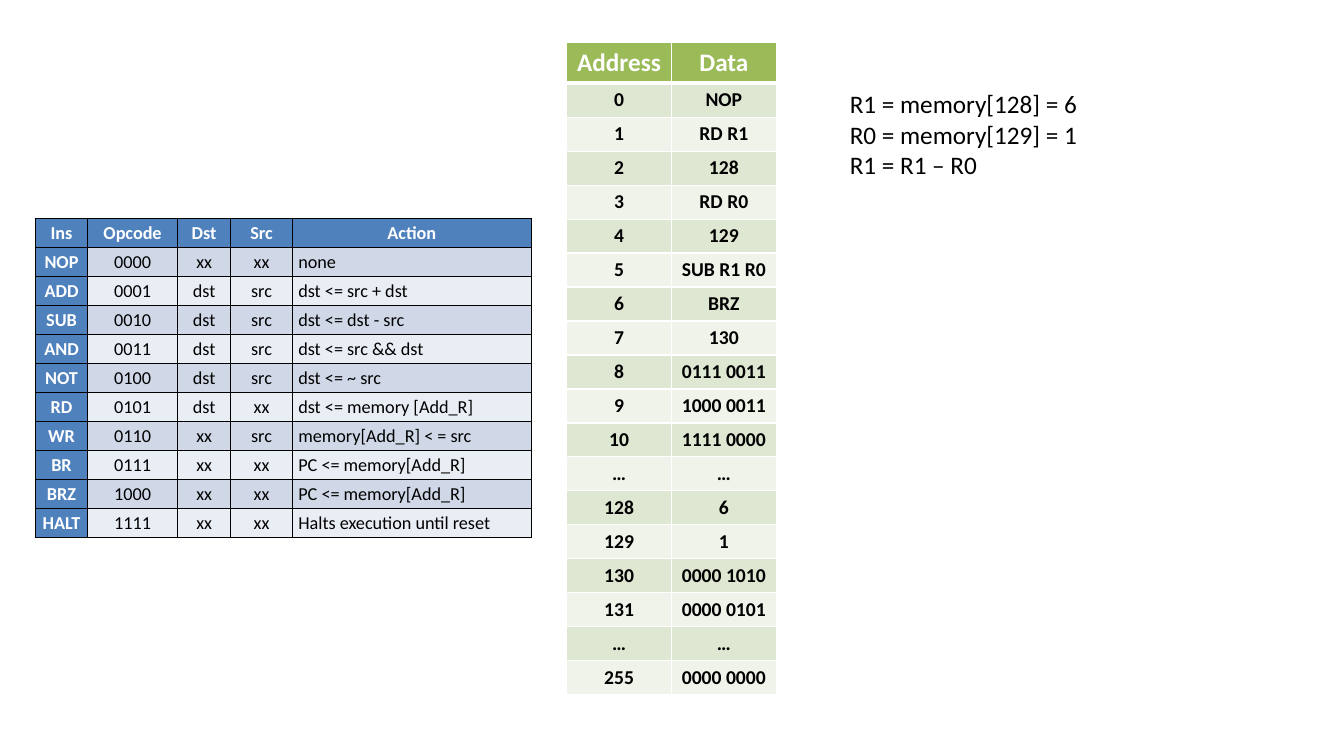
"""Build a slide with an instruction set, a memory dump and a short trace."""
from lxml import etree
from pptx import Presentation
from pptx.dml.color import RGBColor
from pptx.enum.text import MSO_ANCHOR, MSO_AUTO_SIZE, PP_ALIGN
from pptx.oxml.ns import qn
from pptx.util import Inches, Pt

CENTER, LEFT = PP_ALIGN.CENTER, PP_ALIGN.LEFT
TOP, MIDDLE = MSO_ANCHOR.TOP, MSO_ANCHOR.MIDDLE
FIT_SHAPE = MSO_AUTO_SIZE.SHAPE_TO_FIT_TEXT
FONT = "Calibri"
BLACK, WHITE = "000000", "FFFFFF"
BLUE, BLUE_BANDS = "4F81BD", ("D0D8E8", "E9EDF4")
GREEN, GREEN_BANDS = "9BBB59", ("DEE7D1", "EFF3EA")

INSTRUCTIONS = [
    ("Ins", "Opcode", "Dst", "Src", "Action"),
    ("NOP", "0000", "xx", "xx", "none"),
    ("ADD", "0001", "dst", "src", "dst <= src + dst"),
    ("SUB", "0010", "dst", "src", "dst <= dst - src"),
    ("AND", "0011", "dst", "src", "dst <= src && dst"),
    ("NOT", "0100", "dst", "src", "dst <= ~ src"),
    ("RD", "0101", "dst", "xx", "dst <= memory [Add_R]"),
    ("WR", "0110", "xx", "src", "memory[Add_R] < = src"),
    ("BR", "0111", "xx", "xx", "PC <= memory[Add_R]"),
    ("BRZ", "1000", "xx", "xx", "PC <= memory[Add_R]"),
    ("HALT", "1111", "xx", "xx", "Halts execution until reset"),
]
MEMORY = [
    ("Address", "Data"),
    ("0", "NOP"),
    ("1", "RD R1"),
    ("2", "128"),
    ("3", "RD R0"),
    ("4", "129"),
    ("5", "SUB R1 R0"),
    ("6", "BRZ"),
    ("7", "130"),
    ("8", "0111 0011"),
    ("9", "1000 0011"),
    ("10", "1111 0000"),
    ("…", "…"),
    ("128", "6"),
    ("129", "1"),
    ("130", "0000 1010"),
    ("131", "0000 0101"),
    ("…", "…"),
    ("255", "0000 0000"),
]
TRACE = ["R1 = memory[128] = 6", "R0 = memory[129] = 1", "R1 = R1 – R0"]


def rgb(value):
    """Turn a hex string into a colour."""
    return RGBColor.from_string(value)


def add_run(paragraph, text, size, color, bold=False, align=LEFT):
    """Add one formatted run to a paragraph."""
    paragraph.alignment = align
    run = paragraph.add_run()
    run.text = text
    run.font.name = FONT
    run.font.size = Pt(size)
    run.font.bold = bold
    run.font.color.rgb = rgb(color)


def set_borders(cell, color, left=1, right=1, top=1, bottom=1):
    """Draw the four cell borders with widths in points."""
    properties = cell._tc.get_or_add_tcPr()
    widths = {"lnL": left, "lnR": right, "lnT": top, "lnB": bottom}
    for side, width in widths.items():
        line = etree.SubElement(properties, qn(f"a:{side}"), w=str(Pt(width)))
        fill = etree.SubElement(line, qn("a:solidFill"))
        etree.SubElement(fill, qn("a:srgbClr"), val=color)


def fill_cell(cell, color):
    """Give a cell a plain fill."""
    cell.fill.solid()
    cell.fill.fore_color.rgb = rgb(color)


def add_grid(slide, rows, left, top, column_widths, row_heights):
    """Add an unbanded table and return it."""
    frame = slide.shapes.add_table(
        len(rows), len(column_widths), Inches(left), Inches(top),
        Inches(sum(column_widths)), Inches(sum(row_heights)))
    table = frame.table
    table.first_row = table.horz_banding = False
    for column, width in zip(table.columns, column_widths):
        column.width = Inches(width)
    for row, height in zip(table.rows, row_heights):
        row.height = Inches(height)
    return table


def add_instruction_table(slide, left, top, width, height):
    """Add the blue instruction set table."""
    columns = [0.52, 0.89, 0.53, 0.61]
    columns.append(width - sum(columns))
    heights = [height / len(INSTRUCTIONS)] * len(INSTRUCTIONS)
    table = add_grid(slide, INSTRUCTIONS, left, top, columns, heights)
    for row, texts in enumerate(INSTRUCTIONS):
        for column, text in enumerate(texts):
            cell = table.cell(row, column)
            heading = row == 0 or column == 0
            action = row > 0 and column == len(columns) - 1
            cell.vertical_anchor = MIDDLE
            cell.margin_left = cell.margin_right = Inches(0.06)
            cell.margin_top = cell.margin_bottom = 0
            set_borders(cell, BLACK)
            fill_cell(cell, BLUE if heading else BLUE_BANDS[(row - 1) % 2])
            add_run(cell.text_frame.paragraphs[0], text, 13,
                    WHITE if heading else BLACK, heading,
                    LEFT if action else CENTER)


def add_memory_table(slide, left, top, width, height):
    """Add the green memory contents table."""
    header_height = 0.4
    body_count = len(MEMORY) - 1
    heights = [header_height] + [(height - header_height) / body_count] * body_count
    table = add_grid(slide, MEMORY, left, top, [width / 2] * 2, heights)
    for row, texts in enumerate(MEMORY):
        heading = row == 0
        for column, text in enumerate(texts):
            cell = table.cell(row, column)
            cell.vertical_anchor = TOP
            set_borders(cell, WHITE, top=3 if row == 1 else 1,
                        bottom=3 if heading else 1)
            fill_cell(cell, GREEN if heading else GREEN_BANDS[(row - 1) % 2])
            add_run(cell.text_frame.paragraphs[0], text, 18 if heading else 14,
                    WHITE if heading else BLACK, True, CENTER)


def add_trace(slide, left, top, width, height):
    """Add the register trace, one step per paragraph."""
    box = slide.shapes.add_textbox(
        Inches(left), Inches(top), Inches(width), Inches(height))
    frame = box.text_frame
    frame.word_wrap = True
    frame.auto_size = FIT_SHAPE
    for index, step in enumerate(TRACE):
        paragraph = frame.add_paragraph() if index else frame.paragraphs[0]
        add_run(paragraph, step, 18, BLACK)


def main():
    """Create the presentation and save it."""
    presentation = Presentation()
    presentation.slide_width = Inches(13.33)
    presentation.slide_height = Inches(7.5)
    slide = presentation.slides.add_slide(presentation.slide_layouts[6])
    add_memory_table(slide, 5.62, 0.42, 2.08, 6.4)
    add_instruction_table(slide, 0.35, 2.17, 4.92, 3.17)
    add_trace(slide, 8.33, 0.83, 4.5, 1.01)
    presentation.save("out.pptx")


if __name__ == "__main__":
    main()
